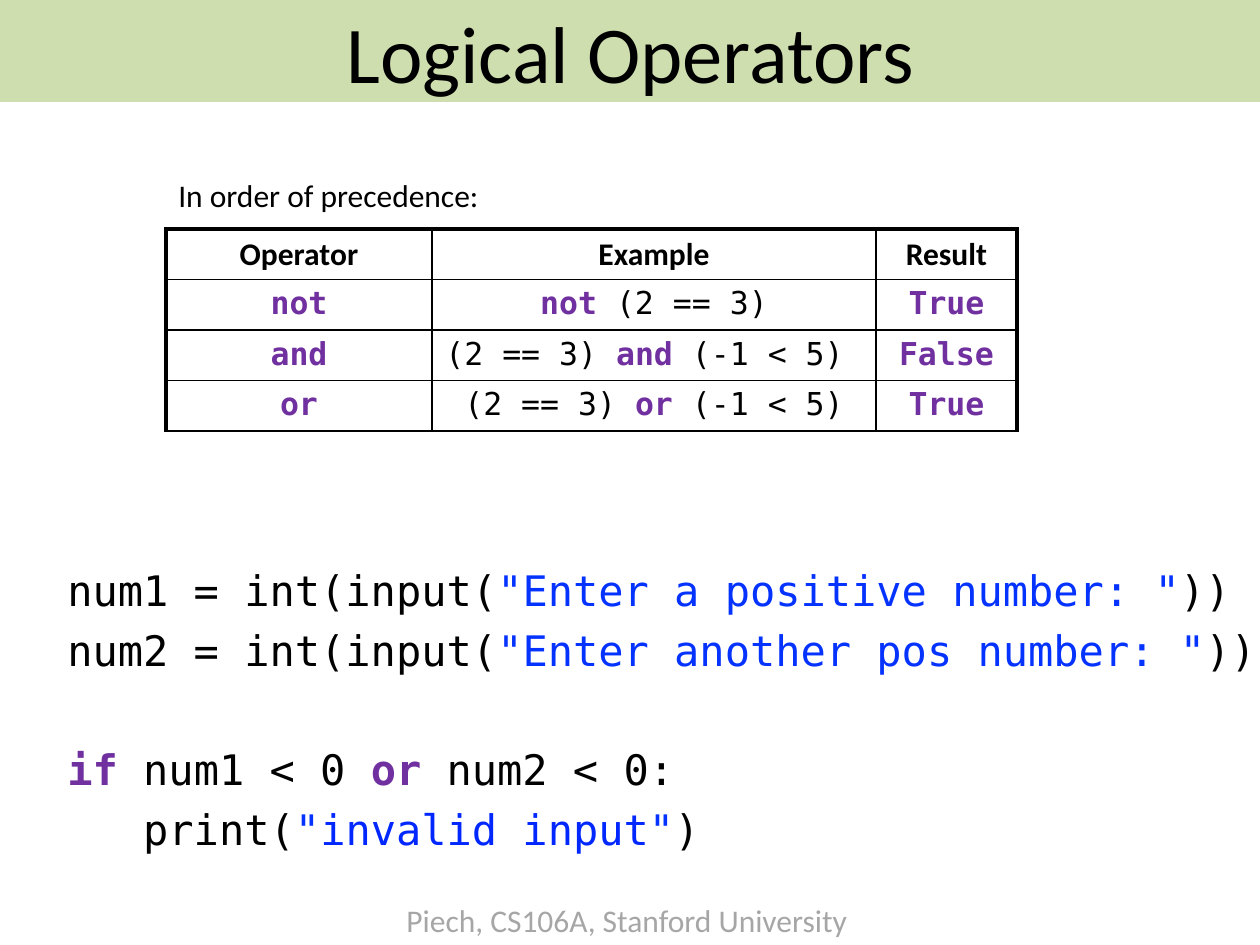
from dataclasses import dataclass

from lxml import etree
from pptx import Presentation
from pptx.dml.color import RGBColor
from pptx.enum.shapes import MSO_SHAPE
from pptx.enum.text import MSO_ANCHOR, MSO_AUTO_SIZE, PP_ALIGN
from pptx.oxml.ns import qn
from pptx.util import Pt

RECTANGLE = MSO_SHAPE.RECTANGLE
MIDDLE = MSO_ANCHOR.MIDDLE
FIT_SHAPE = MSO_AUTO_SIZE.SHAPE_TO_FIT_TEXT
LEFT, CENTER = PP_ALIGN.LEFT, PP_ALIGN.CENTER

EMU_PER_PX = 914400 / 126
SLIDE_W, SLIDE_H = 1260, 945


@dataclass(frozen=True)
class Theme:
    black: str = "000000"
    band: str = "C3D69B"
    band_opacity: int = 80
    keyword: str = "7030A0"
    quote: str = "0432FF"
    message: str = "0027FF"
    footer: str = "A6A6A6"
    sans: str = "Calibri"
    mono: str = "DejaVu Sans Mono"
    title_size: int = 46
    code_size: int = 24
    body_size: int = 18
    thick: float = 2.25
    thin: float = 1
    line_gap: float = 5.6
    block_gap: float = 39.1


THEME = Theme()


def emu(px):
    return round(px * EMU_PER_PX)


def place(box):
    return [emu(length) for length in box]


def keyword(text):
    return text, {"color": THEME.keyword, "bold": True}


def quote(text, color=THEME.quote):
    return text, {"color": color}


def write_text(frame, lines, font=THEME.sans, size=THEME.body_size,
               color=THEME.black, bold=False, align=LEFT, gaps=()):
    """Each line is a list of plain strings and (string, format) pairs."""
    for number, line in enumerate(lines):
        paragraph = frame.paragraphs[0] if number == 0 else frame.add_paragraph()
        paragraph.alignment = align
        if number:
            paragraph.space_before = Pt(gaps[number - 1])
        for part in line:
            text, style = (part, {}) if isinstance(part, str) else part
            run = paragraph.add_run()
            run.text = text
            run.font.name = font
            run.font.size = Pt(size)
            run.font.bold = style.get("bold", bold)
            run.font.color.rgb = RGBColor.from_string(style.get("color", color))


def add_title_band(slide, box):
    band = slide.shapes.add_shape(RECTANGLE, *place(box))
    band.shadow.inherit = False
    band.line.fill.background()
    band.fill.solid()
    band.fill.fore_color.rgb = RGBColor.from_string(THEME.band)
    color = band.fill._xPr.find(".//" + qn("a:srgbClr"))
    etree.SubElement(color, qn("a:alpha"), val=str(THEME.band_opacity * 1000))
    band.text_frame.vertical_anchor = MIDDLE
    write_text(band.text_frame, [["Logical Operators"]],
               size=THEME.title_size, align=CENTER)


def add_label(slide, box, text, color=THEME.black):
    label = slide.shapes.add_textbox(*place(box)).text_frame
    label.word_wrap = False
    label.auto_size = FIT_SHAPE
    write_text(label, [[text]], color=color)


def set_borders(cell, widths):
    properties = cell._tc.get_or_add_tcPr()
    for position, (side, width) in enumerate(widths.items()):
        border = etree.Element(qn(f"a:ln{side}"), w=str(Pt(width)))
        fill = etree.SubElement(border, qn("a:solidFill"))
        etree.SubElement(fill, qn("a:srgbClr"), val=THEME.black)
        properties.insert(position, border)


def add_operator_table(slide, box, column_widths):
    rows = [
        [["Operator"], ["Example"], ["Result"]],
        [[keyword("not")], [keyword("not"), " (2 == 3)"], [keyword("True")]],
        [[keyword("and")], ["(2 == 3) ", keyword("and"), " (-1 < 5) "],
         [keyword("False")]],
        [[keyword("or")], ["(2 == 3) ", keyword("or"), " (-1 < 5)"],
         [keyword("True")]],
    ]
    last = len(column_widths) - 1
    operators = slide.shapes.add_table(
        len(rows), len(column_widths), *place(box)).table
    operators.first_row = operators.horz_banding = False
    for column, width in zip(operators.columns, column_widths):
        column.width = emu(width)
    for r, row in enumerate(rows):
        operators.rows[r].height = emu(box[3] / len(rows))
        for c, content in enumerate(row):
            cell = operators.cell(r, c)
            cell.fill.background()
            heading = r == 0
            write_text(cell.text_frame, [content], bold=heading, align=CENTER,
                       font=THEME.sans if heading else THEME.mono)
            set_borders(cell, {
                "L": THEME.thick if c == 0 else THEME.thin,
                "R": THEME.thick if c == last else THEME.thin,
                "T": THEME.thick if heading else THEME.thin,
                "B": THEME.thin,
            })


def add_code(slide, box):
    code = slide.shapes.add_textbox(*place(box)).text_frame
    code.word_wrap = True
    lines = [
        ["num1 = int(input(", quote('"Enter a positive number: "'), "))"],
        ["num2 = int(input(", quote('"Enter another pos number: "'), "))"],
        [keyword("if"), " num1 < 0 ", keyword("or"), " num2 < 0:"],
        ["   print(", quote('"'), quote("invalid input", THEME.message),
         quote('"'), ")"],
    ]
    # The wider gap separates the input lines from the check
    write_text(code, lines, font=THEME.mono, size=THEME.code_size,
               gaps=(THEME.line_gap, THEME.block_gap, THEME.line_gap))


def main():
    deck = Presentation()
    deck.slide_width, deck.slide_height = emu(SLIDE_W), emu(SLIDE_H)
    slide = deck.slides.add_slide(deck.slide_layouts[6])

    # Footer
    add_label(slide, (394, 895, 471, 50),
              "Piech, CS106A, Stanford University", THEME.footer)
    # Operators and their precedence
    add_operator_table(slide, (166, 229, 851, 202), (266, 444, 141))
    add_label(slide, (166, 170, 354, 50), "In order of precedence:")
    # Title
    add_title_band(slide, (0, 0, SLIDE_W, 102))
    # Code example
    add_code(slide, (55, 558, 1275, 706))

    deck.save("out.pptx")


if __name__ == "__main__":
    main()
